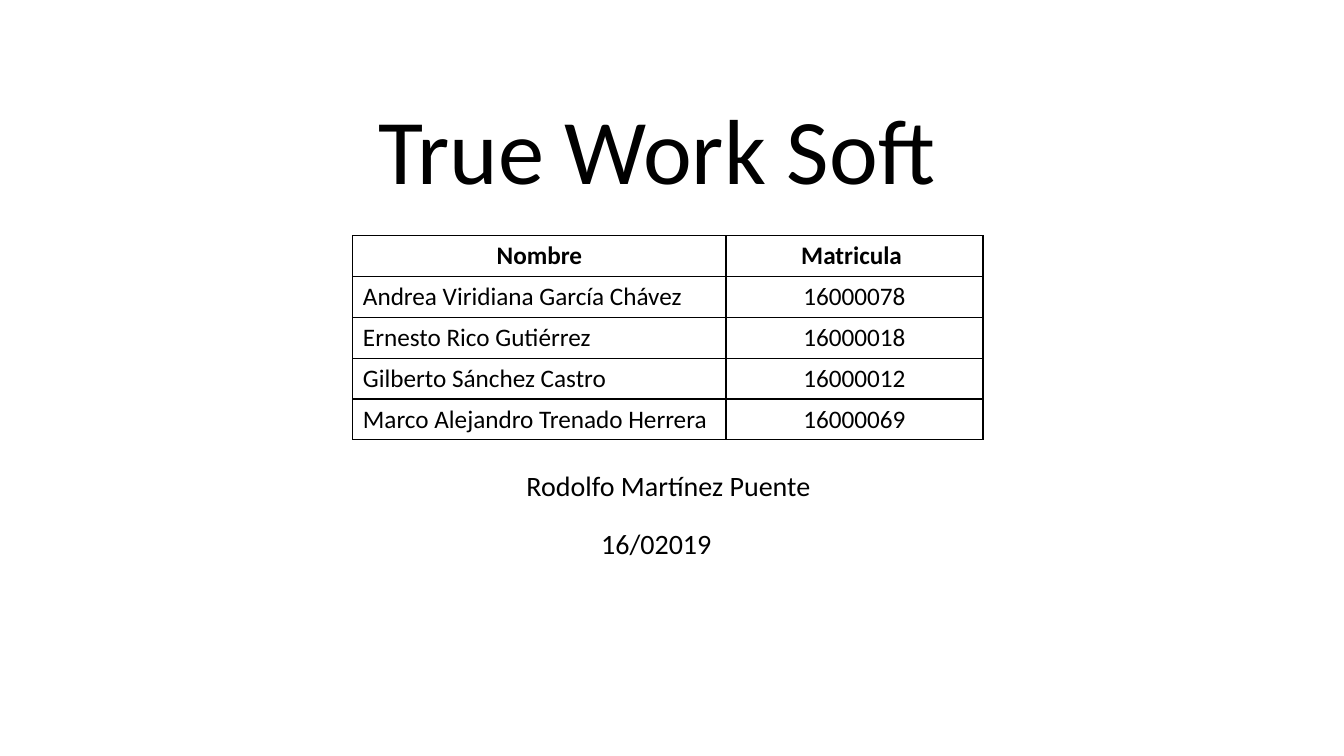
import pptx
import pptx.dml.color
import pptx.enum.text
import pptx.oxml
import pptx.oxml.ns
import pptx.util
from pptx.util import Inches

COLORS = {"text": "000000", "border": "000000", "background": "FFFFFF"}
FONT = "Calibri"
CENTER = pptx.enum.text.PP_ALIGN.CENTER
LEFT = pptx.enum.text.PP_ALIGN.LEFT
MIDDLE = pptx.enum.text.MSO_ANCHOR.MIDDLE

MEMBERS = [
    ("Nombre", "Matricula "),
    ("Andrea Viridiana García Chávez", "16000078"),
    ("Ernesto Rico Gutiérrez", "16000018"),
    ("Gilberto Sánchez Castro", "16000012"),
    ("Marco Alejandro Trenado Herrera", "16000069"),
]
COLUMN_WIDTHS = (3.7, 2.55)
ROW_HEIGHT = 0.405


def write_text(text_frame, text, size, alignment=CENTER, bold=False):
    text_frame.text = text
    paragraph = text_frame.paragraphs[0]
    paragraph.alignment = alignment
    font = paragraph.runs[0].font
    font.name = FONT
    font.size = pptx.util.Pt(size)
    font.bold = bold
    font.color.rgb = pptx.dml.color.RGBColor.from_string(COLORS["text"])


def add_centered_text(slide, text, left, top, width, height, size):
    box = slide.shapes.add_textbox(
        Inches(left), Inches(top), Inches(width), Inches(height))
    box.text_frame.word_wrap = True
    box.text_frame.vertical_anchor = MIDDLE
    write_text(box.text_frame, text, size)


def set_borders(cell, width):
    # Borders must come before the fill in the cell properties
    properties = cell._tc.get_or_add_tcPr()
    for index, side in enumerate(("lnL", "lnR", "lnT", "lnB")):
        border = pptx.oxml.parse_xml(
            f'<a:{side} {pptx.oxml.ns.nsdecls("a")} w="{pptx.util.Pt(width)}">'
            f'<a:solidFill><a:srgbClr val="{COLORS["border"]}"/></a:solidFill>'
            f'</a:{side}>')
        properties.insert(index, border)


def add_member_table(slide, left, top):
    table = slide.shapes.add_table(
        len(MEMBERS), len(COLUMN_WIDTHS), Inches(left), Inches(top),
        Inches(sum(COLUMN_WIDTHS)), Inches(ROW_HEIGHT * len(MEMBERS))).table
    table.horz_banding = False
    for column, width in zip(table.columns, COLUMN_WIDTHS):
        column.width = Inches(width)
    for row_index, member in enumerate(MEMBERS):
        table.rows[row_index].height = Inches(ROW_HEIGHT)
        is_header = row_index == 0
        for column_index, text in enumerate(member):
            cell = table.cell(row_index, column_index)
            cell.fill.background()
            set_borders(cell, 1)
            is_name = column_index == 0 and not is_header
            write_text(cell.text_frame, text, 18,
                       LEFT if is_name else CENTER, is_header)


def main():
    presentation = pptx.Presentation()
    presentation.slide_width = Inches(13.33)
    presentation.slide_height = Inches(7.5)
    slide = presentation.slides.add_slide(presentation.slide_layouts[6])
    background = slide.background.fill
    background.solid()
    background.fore_color.rgb = pptx.dml.color.RGBColor.from_string(
        COLORS["background"])

    # Title and team members
    add_centered_text(slide, "True Work Soft", 3.5, 0.75, 6.03, 1.43, 66)
    add_member_table(slide, 3.5, 2.34)

    # Teacher and date
    add_centered_text(slide, "Rodolfo Martínez Puente", 3.72, 4.53, 5.82, 0.57, 20)
    add_centered_text(slide, "16/02019", 3.6, 5.1, 5.82, 0.57, 20)

    presentation.save("out.pptx")


if __name__ == "__main__":
    main()
